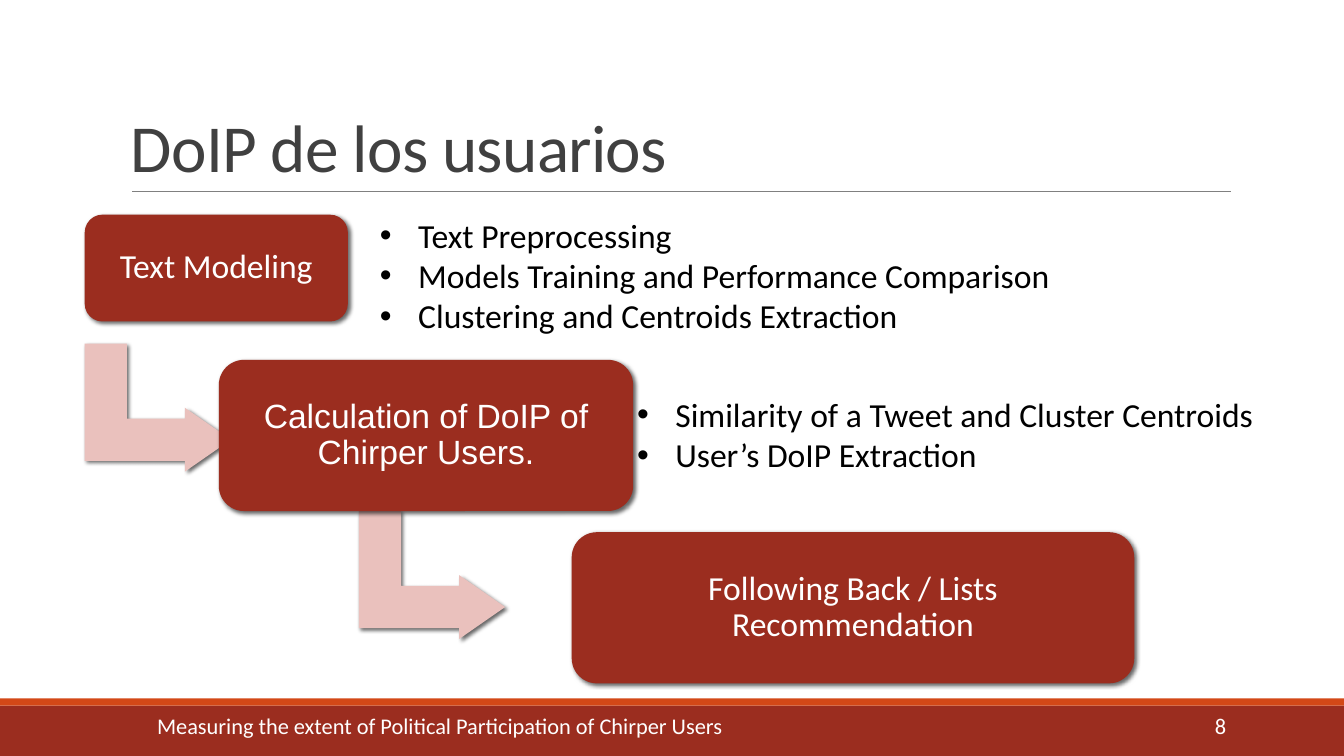
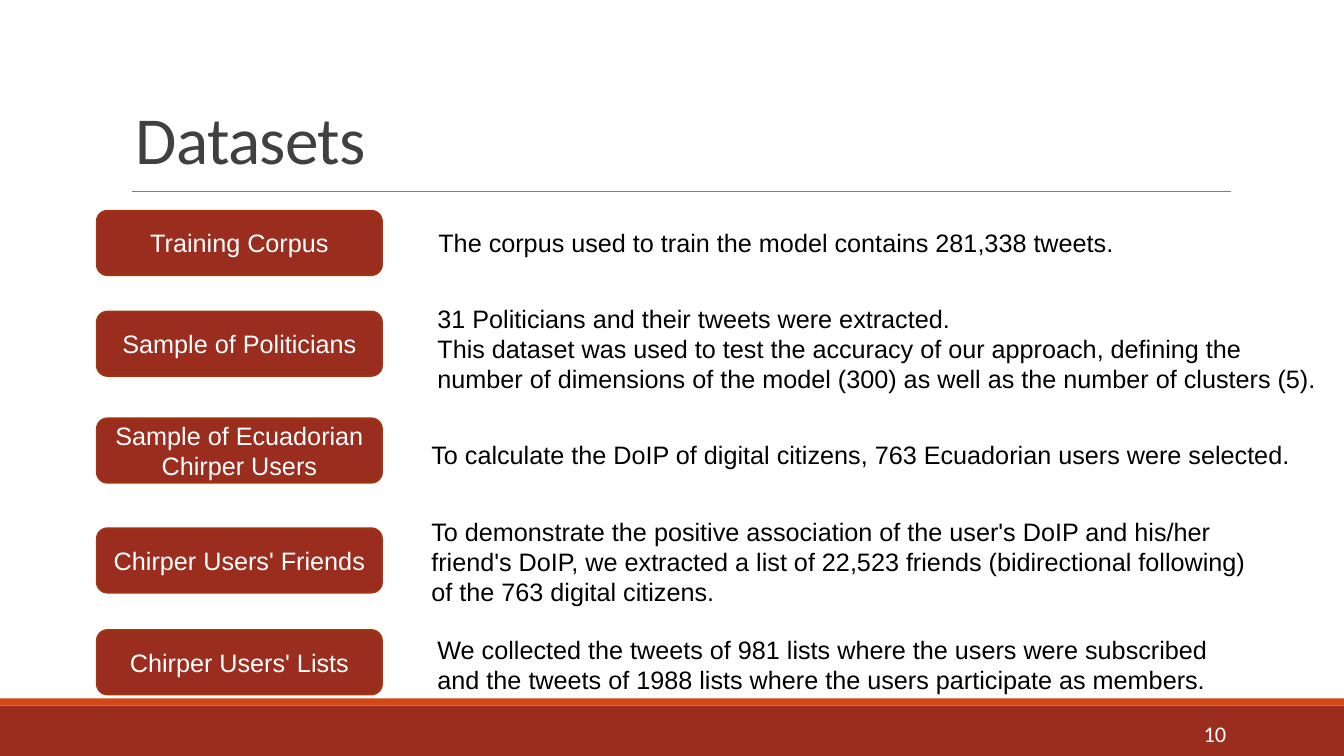
from lxml import etree
from pptx import Presentation
from pptx.dml.color import RGBColor
from pptx.enum.shapes import MSO_CONNECTOR, MSO_SHAPE as Shape
from pptx.enum.text import MSO_ANCHOR as Anchor, PP_ALIGN as Align
from pptx.oxml.ns import qn
from pptx.util import Inches, Pt

COLORS = {
    "brick": "9B2D1F",
    "orange": "D34817",
    "pill_line": "9E3611",
    "arrow": "EAC1BD",
    "rule": "808080",
    "title": "404040",
    "black": "000000",
    "white": "FFFFFF",
}
SLIDE_WIDTH, SLIDE_HEIGHT = 13.33, 7.5


def rgb(name):
    return RGBColor.from_string(COLORS[name])


def write(shape, texts, size, font, color, align=Align.LEFT, anchor=Anchor.TOP,
          spacing=None, bullets=False):
    frame = shape.text_frame
    frame.word_wrap = True
    frame.vertical_anchor = anchor
    frame.text = "\n".join(texts)
    for para in frame.paragraphs:
        para.alignment = align
        if spacing:
            para.line_spacing = spacing
        if bullets:
            add_bullet(para)
        for span in para.runs:
            span.font.size = Pt(size)
            span.font.name = font
            span.font.color.rgb = rgb(color)
    return frame


def add_bullet(para):
    props = para._p.get_or_add_pPr()
    props.set("marL", str(Inches(0.88)))
    props.set("indent", str(Inches(-0.38)))
    etree.SubElement(props, qn("a:buFont"), typeface="Arial")
    etree.SubElement(props, qn("a:buChar"), char="•")


def add_text(page, at, texts, size, font, color, **style):
    box = page.shapes.add_textbox(*map(Inches, at))
    return write(box, texts, size, font, color, **style)


def add_block(page, kind, at, fill, line=None):
    block = page.shapes.add_shape(kind, *map(Inches, at))
    block.shadow.inherit = False
    block.fill.solid()
    block.fill.fore_color.rgb = rgb(fill)
    if line:
        block.line.color.rgb = rgb(line)
        block.line.width = Pt(1.25)
    else:
        block.line.fill.background()
    return block


def add_shadow(block):
    effects = block._element.spPr.find(qn("a:effectLst"))
    shadow = etree.SubElement(effects, qn("a:outerShdw"), blurRad=str(Pt(3)),
                              dist=str(Pt(2)), dir="2700000", rotWithShape="0")
    color = etree.SubElement(shadow, qn("a:srgbClr"), val=COLORS["black"])
    etree.SubElement(color, qn("a:alpha"), val="60000")


def add_card(page, at, label, font):
    card = add_block(page, Shape.ROUNDED_RECTANGLE, at, "brick")
    add_shadow(card)
    frame = write(card, [label], 24, font, "white", Align.CENTER, Anchor.MIDDLE, 0.9)
    frame.margin_top = frame.margin_bottom = Inches(0.1)


def add_step_arrow(page, left, top):
    arrow = add_block(page, Shape.BENT_UP_ARROW, (left, top, 1.27, 1.45), "arrow")
    arrow.rotation = 90
    for index, value in enumerate((0.33, 0.25, 0.36)):
        arrow.adjustments[index] = value
    add_shadow(arrow)


def add_pill(page, top, label):
    pill = add_block(page, Shape.ROUNDED_RECTANGLE, (0.96, top, 2.83, 0.64),
                     "brick", "pill_line")
    write(pill, [label], 18, "Arial", "white", Align.CENTER, Anchor.MIDDLE)


def add_page(deck, title, title_at):
    page = deck.slides.add_slide(deck.slide_layouts[6])
    add_block(page, Shape.RECTANGLE, (0, 7, SLIDE_WIDTH, 0.5), "brick")
    add_block(page, Shape.RECTANGLE, (0, 6.93, SLIDE_WIDTH, 0.07), "orange")
    rule = page.shapes.add_connector(MSO_CONNECTOR.STRAIGHT, Inches(1.31), Inches(1.9),
                                     Inches(12.21), Inches(1.9))
    rule.line.color.rgb = rgb("rule")
    rule.line.width = Pt(0.5)
    etree.SubElement(rule._element.spPr, qn("a:effectLst"))
    frame = add_text(page, title_at, [title], 48, "Calibri", "title",
                     anchor=Anchor.BOTTOM, spacing=0.85)
    frame.paragraphs[0].runs[0].font._element.set("spc", "-50")
    return page


def add_footer(page, top, height, number, text=None):
    if text:
        add_text(page, (1.46, top, 8, height), [text], 16, "Calibri", "white",
                 anchor=Anchor.MIDDLE)
    add_text(page, (11.26, top, 1, height), [number], 16, "Calibri", "white",
             align=Align.RIGHT, anchor=Anchor.MIDDLE)


def build_process(deck):
    page = add_page(deck, "DoIP de los usuarios", (1.2, 0.31, 11, 1.59))
    add_step_arrow(page, 0.93, 3.32)
    add_card(page, (0.84, 2.13, 2.61, 1.06), "Text Modeling", "Calibri")
    add_step_arrow(page, 3.65, 4.98)
    add_card(page, (2.17, 3.57, 4.11, 1.5), "Calculation of DoIP of Chirper Users.", "Arial")
    add_card(page, (5.67, 5.28, 5.58, 1.5), "Following Back / Lists Recommendation", "Calibri")
    add_footer(page, 6.93, 0.53, "8",
               "Measuring the extent of Political Participation of Chirper Users")
    details = [
        ((5.72, 3.86, 7.2, 0.91),
         ["Similarity of a Tweet and Cluster Centroids", "User’s DoIP Extraction"]),
        ((3.17, 2.08, 8.3, 1.31),
         ["Text Preprocessing", "Models Training and Performance Comparison",
          "Clustering and Centroids Extraction"]),
    ]
    for at, texts in details:
        add_text(page, at, texts, 24, "Calibri", "black", bullets=True)


def build_datasets(deck):
    page = add_page(deck, "Datasets", (1.25, 0.53, 10.71, 1.29))
    add_footer(page, 7.1, 0.36, "10")
    datasets = [
        (2.09, "Training Corpus", (4.25, 2.21, 8.9, 0.4),
         ["The corpus used to train the model contains 281,338 tweets."]),
        (3.09, "Sample of Politicians", (4.24, 2.96, 8.94, 1.01),
         ["31 Politicians and their tweets were extracted.",
          "This dataset was used to test the accuracy of our approach, defining the "
          "number of dimensions of the model (300) as well as the number of clusters (5)."]),
        (4.15, "Sample of Ecuadorian Chirper Users", (4.18, 4.31, 8.9, 0.4),
         ["To calculate the DoIP of digital citizens, 763 Ecuadorian users were selected."]),
        (5.24, "Chirper Users' Friends", (4.18, 5.07, 8.4, 1.01),
         ["To demonstrate the positive association of the user's DoIP and his/her "
          "friend's DoIP, we extracted a list of 22,523 friends (bidirectional following) "
          "of the 763 digital citizens."]),
        (6.25, "Chirper Users' Lists", (4.24, 6.24, 8.25, 0.71),
         ["We collected the tweets of 981 lists where the users were subscribed "
          "and the tweets of 1988 lists where the users participate as members."]),
    ]
    for top, label, at, texts in datasets:
        add_pill(page, top, label)
        add_text(page, at, texts, 18, "Arial", "black")


def main():
    deck = Presentation()
    deck.slide_width = Inches(SLIDE_WIDTH)
    deck.slide_height = Inches(SLIDE_HEIGHT)
    build_process(deck)
    build_datasets(deck)
    deck.save("out.pptx")


if __name__ == "__main__":
    main()
